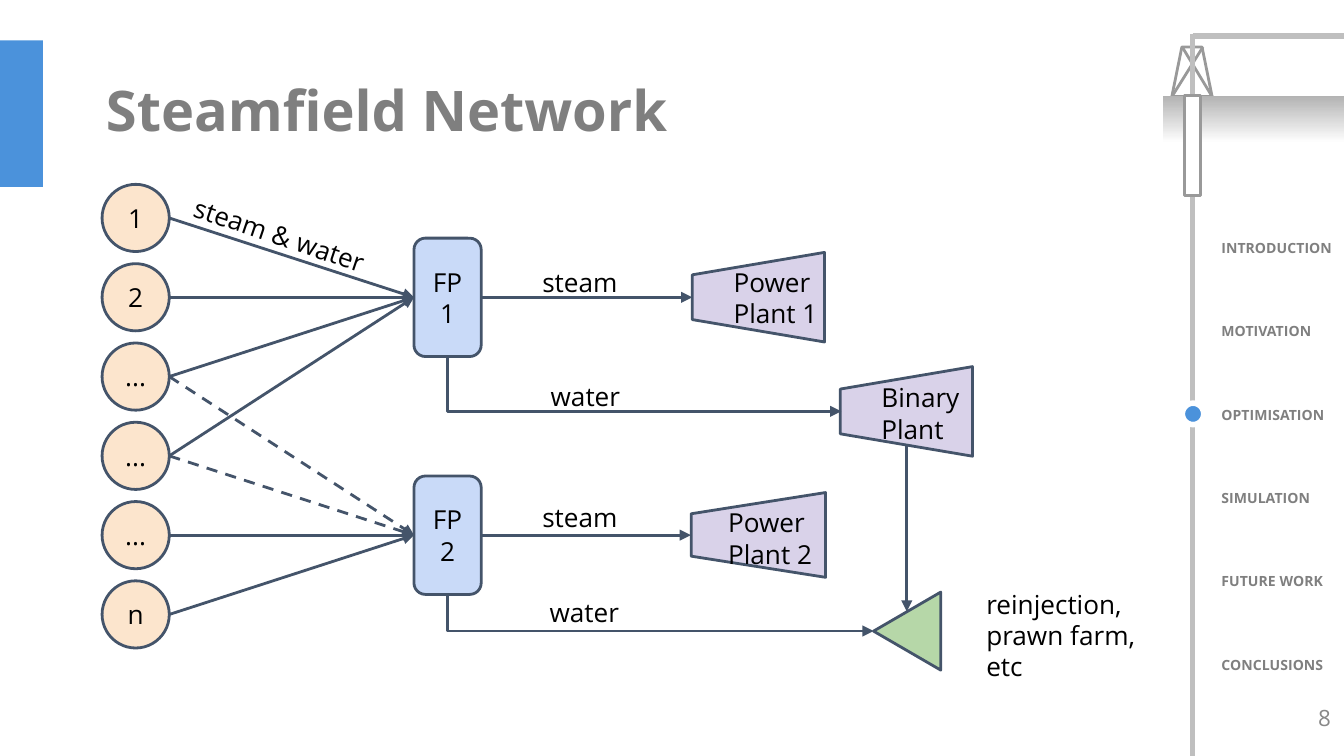
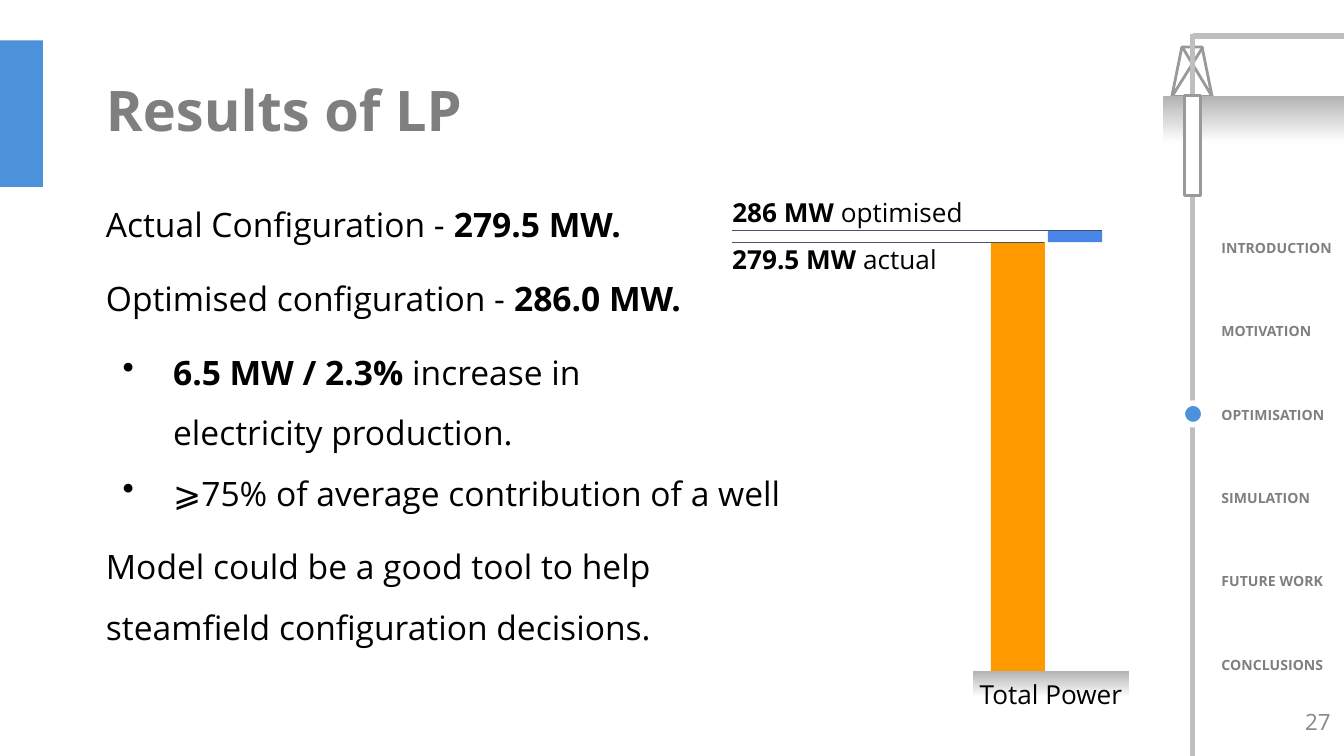
"""Build two slides on a steamfield network and its linear programme results."""
from dataclasses import dataclass
from typing import NamedTuple, Optional

from lxml import etree
from pptx import Presentation
from pptx import util as u
from pptx.dml import color
from pptx.enum import dml, shapes, text
from pptx.oxml import ns
from pptx.slide import Slide

FONT = "Open Sans"
COLORS = {
    "accent": "4B92DB", "title": "7F7F7F", "number": "888888", "text": "000000",
    "rig": "999999", "pipe": "BFBFBF", "ground": "B3B3B3", "white": "FFFFFF",
    "outline": "44546A", "well": "FCE5CD", "separator": "C9DAF8",
    "plant": "D9D2E9", "sink": "B6D7A8", "actual": "FF9900", "gain": "4A86E8",
}
KIND = shapes.MSO_SHAPE
ALIGN = text.PP_ALIGN
ANCHOR = text.MSO_ANCHOR
SECTIONS = ("INTRODUCTION", "MOTIVATION", "OPTIMISATION",
            "SIMULATION", "FUTURE WORK", "CONCLUSIONS")
WELLS = ("1", "2", "...", "...", "...", "n")
WELL_LEFT, WELL_SIZE, WELL_FIRST, WELL_STEP = 54.7, 36, 116.8, 42.48
SEPARATOR_LEFT, SEPARATOR_WIDTH, SEPARATOR_HEIGHT = 221.8, 36, 63.4
SEPARATOR_ROWS = (1, 4)


class Frame(NamedTuple):
    left: float
    top: float
    width: float
    height: float


class Phrase(NamedTuple):
    text: str
    bold: bool = False


class Link(NamedTuple):
    well: int
    separator: int
    dashed: bool = False


@dataclass
class Style:
    size: float = 14
    color: str = "text"
    bold: bool = False
    align: ALIGN = ALIGN.LEFT
    anchor: ANCHOR = ANCHOR.TOP
    inset_x: float = 7.2
    inset_y: float = 7.2


@dataclass
class Block:
    kind: KIND
    frame: Frame
    fill: Optional[str] = None
    line: Optional[str] = None
    weight: float = 1.5
    rotation: float = 0
    adjust: Optional[float] = None


@dataclass
class Label:
    text: str
    frame: Frame
    align: ALIGN = ALIGN.LEFT
    anchor: ANCHOR = ANCHOR.TOP
    rotation: float = 0


@dataclass
class BodyLine:
    phrases: tuple[Phrase, ...]
    before: float = 7.1
    bullet: bool = False


CENTERED = Style(align=ALIGN.CENTER, anchor=ANCHOR.MIDDLE)
WELL_STYLE = Style(align=ALIGN.CENTER, anchor=ANCHOR.MIDDLE, inset_x=0)
TITLE_STYLE = Style(30, "title", True, anchor=ANCHOR.MIDDLE)
SECTION_STYLE = Style(7.5, "title", True, anchor=ANCHOR.MIDDLE, inset_x=20, inset_y=2)
NUMBER_STYLE = Style(12, "number", align=ALIGN.RIGHT, anchor=ANCHOR.MIDDLE, inset_y=3.6)

LINKS = (Link(0, 0), Link(1, 0), Link(2, 0), Link(3, 1, True),
         Link(4, 1), Link(5, 1), Link(2, 1, True), Link(3, 0))
PLANTS = (Frame(382.3, 123.8, 48, 70.8), Frame(383.6, 250.6, 45.4, 72),
          Frame(461.6, 185, 48, 70.8))
FLOW_LABELS = (
    Label("steam & water", Frame(94.3, 111.6, 118.8, 33.8), rotation=18.7),
    Label("Power Plant 1", Frame(385.9, 135.4, 64.8, 21.6)),
    Label("Power Plant 2", Frame(383, 264.2, 64.8, 21.6)),
    Label("Binary Plant", Frame(465.1, 197.3, 64.8, 21.6)),
    Label("steam", Frame(251.3, 135.4, 118.8, 33.8), ALIGN.CENTER),
    Label("steam", Frame(251.3, 261.4, 118.8, 33.8), ALIGN.CENTER),
    Label("water", Frame(254.2, 196.6, 118.8, 33.8), ALIGN.CENTER),
    Label("water", Frame(287.3, 312.5, 118.8, 33.8)),
    Label("reinjection, prawn farm, etc", Frame(521.3, 317.5, 95.8, 45.4),
          anchor=ANCHOR.MIDDLE),
)
BODY = (
    BodyLine((Phrase("Actual Configuration - "), Phrase("279.5 MW.", True)), before=0),
    BodyLine((Phrase("Optimised configuration - "), Phrase("286.0 MW.", True))),
    BodyLine((Phrase("6.5 MW / 2.3% ", True), Phrase("increase in"), Phrase("\v"),
              Phrase("electricity production.")), bullet=True),
    BodyLine((Phrase("⩾75% of average contribution of a well"),), before=0, bullet=True),
    BodyLine((Phrase("Model could be a good tool to help steamfield "
                     "configuration decisions."),)),
)


def rgb(name: str) -> color.RGBColor:
    """Return a named colour."""
    return color.RGBColor.from_string(COLORS[name])


def points(values: tuple) -> list:
    """Turn numbers into point lengths."""
    return [u.Pt(value) for value in values]


def format_run(run, style: Style, bold: bool) -> None:
    """Apply font, size, weight and colour to a run."""
    run.font.name = FONT
    run.font.size = u.Pt(style.size)
    run.font.bold = bold
    run.font.color.rgb = rgb(style.color)


def prepare_frame(shape, style: Style):
    """Set wrapping, anchor and insets and return the text frame."""
    frame = shape.text_frame
    frame.word_wrap = True
    frame.vertical_anchor = style.anchor
    frame.margin_left = frame.margin_right = u.Pt(style.inset_x)
    frame.margin_top = frame.margin_bottom = u.Pt(style.inset_y)
    return frame


def write(shape, content: str, style: Style):
    """Write one uniformly styled paragraph into a shape and return it."""
    frame = prepare_frame(shape, style)
    frame.text = content
    paragraph = frame.paragraphs[0]
    paragraph.alignment = style.align
    for run in paragraph.runs:
        format_run(run, style, style.bold)
    return paragraph


def write_phrases(paragraph, phrases: tuple[Phrase, ...], style: Style) -> None:
    """Write partly bold text, with line breaks, into a paragraph."""
    for phrase in phrases:
        if phrase.text == "\v":
            paragraph.add_line_break()
            continue
        run = paragraph.add_run()
        run.text = phrase.text
        format_run(run, style, phrase.bold)


def add_textbox(slide: Slide, frame: Frame):
    """Add an empty text box."""
    return slide.shapes.add_textbox(*points(frame))


def add_block(slide: Slide, block: Block):
    """Add a preset shape."""
    shape = slide.shapes.add_shape(block.kind, *points(block.frame))
    shape.shadow.inherit = False
    shape.rotation = block.rotation
    if block.adjust is not None:
        shape.adjustments[0] = block.adjust
    if block.fill:
        shape.fill.solid()
        shape.fill.fore_color.rgb = rgb(block.fill)
    else:
        shape.fill.background()
    if block.line:
        shape.line.color.rgb = rgb(block.line)
        shape.line.width = u.Pt(block.weight)
    else:
        shape.line.fill.background()
    return shape


def add_ground(slide: Slide, frame: Frame) -> None:
    """Add a band that fades from grey at the top to white."""
    shape = add_block(slide, Block(KIND.RECTANGLE, frame, rotation=180))
    shape.fill.gradient()
    shape.fill.gradient_angle = 270
    for stop, name in zip(shape.fill.gradient_stops, ("white", "ground")):
        stop.color.rgb = rgb(name)


def add_line(slide: Slide, ends: tuple, name: str = "outline", weight: float = 1.5,
             arrow: bool = False, dashed: bool = False,
             kind=shapes.MSO_CONNECTOR.STRAIGHT):
    """Add a connector given as x1, y1, x2, y2."""
    connector = slide.shapes.add_connector(kind, *points(ends))
    connector.line.color.rgb = rgb(name)
    connector.line.width = u.Pt(weight)
    if dashed:
        connector.line.dash_style = dml.MSO_LINE.DASH
    properties = connector._element.spPr
    if arrow:
        etree.SubElement(properties.find(ns.qn("a:ln")), ns.qn("a:tailEnd"),
                         type="triangle")
    etree.SubElement(properties, ns.qn("a:effectLst"))
    return connector


def add_corner_arrow(slide: Slide, x1: float, y1: float, x2: float, y2: float) -> None:
    """Add an arrow that runs down and then right."""
    middle_x, middle_y = (x1 + x2) / 2, (y1 + y2) / 2
    half_run, half_drop = (x2 - x1) / 2, (y2 - y1) / 2
    ends = (middle_x + half_drop, middle_y - half_run,
            middle_x - half_drop, middle_y + half_run)
    connector = add_line(slide, ends, arrow=True, kind=shapes.MSO_CONNECTOR.ELBOW)
    properties = connector._element.spPr
    properties.find(ns.qn("a:prstGeom")).set("prst", "bentConnector2")
    properties.find(ns.qn("a:xfrm")).set("rot", str(270 * 60000))


def add_base(presentation, title: str, number: str, number_top: float) -> Slide:
    """Add a slide with the title, rig, section list and page number."""
    slide = presentation.slides.add_slide(presentation.slide_layouts[6])
    add_block(slide, Block(KIND.TRAPEZOID, Frame(627.8, 25.2, 21.6, 26.6),
                           line="rig", adjust=0.25))
    add_line(slide, (633.6, 25.6, 649.4, 51.8), "rig")
    add_line(slide, (644.4, 25.2, 627.8, 51.8), "rig")
    add_block(slide, Block(KIND.RECTANGLE, Frame(0, 21.6, 23, 78.5), "accent"))
    add_ground(slide, Frame(622.8, 51.4, 97.2, 25.2))
    add_line(slide, (638.9, 18, 638.9, 405), "pipe", 3)
    add_block(slide, Block(KIND.RECTANGLE, Frame(634.5, 51.4, 8.6, 53.3), "white", "rig"))
    add_line(slide, (638.9, 19.4, 720, 19.4), "pipe", 3)
    for index, section in enumerate(SECTIONS):
        box = add_textbox(slide, Frame(634.3, 123.8 + 44.64 * index, 135.4, 18))
        write(box, section, SECTION_STYLE)
    heading = add_textbox(slide, Frame(49.7, 21.6, 620.6, 78.5))
    write(heading, title, TITLE_STYLE).line_spacing = 0.9
    write(add_textbox(slide, Frame(558, number_top, 162, 21.6)), number, NUMBER_STYLE)
    add_block(slide, Block(KIND.OVAL, Frame(633.4, 216, 11.5, 11.5), "accent", "white", 3))
    return slide


def row_middle(row: int) -> float:
    """Return the vertical middle of a row of wells."""
    return WELL_FIRST + WELL_STEP * row


def build_network(presentation) -> None:
    """Build the slide with the steamfield network."""
    slide = add_base(presentation, "Steamfield Network", "8", 373.7)
    for row, name in enumerate(WELLS):
        frame = Frame(WELL_LEFT, row_middle(row) - WELL_SIZE / 2, WELL_SIZE, WELL_SIZE)
        well = add_block(slide, Block(KIND.OVAL, frame, "well", "outline"))
        write(well, name, WELL_STYLE)
    separators = []
    for index, row in enumerate(SEPARATOR_ROWS, 1):
        frame = Frame(SEPARATOR_LEFT, row_middle(row) - SEPARATOR_HEIGHT / 2,
                      SEPARATOR_WIDTH, SEPARATOR_HEIGHT)
        separator = add_block(slide, Block(KIND.ROUNDED_RECTANGLE, frame, "separator",
                                           "outline", adjust=0.17))
        write(separator, f"FP{index}", CENTERED)
        separators.append(separator)
    for frame in PLANTS:
        add_block(slide, Block(KIND.TRAPEZOID, frame, "plant", "outline",
                               rotation=270, adjust=0.25))
    add_block(slide, Block(KIND.ISOSCELES_TRIANGLE, Frame(465.1, 320.1, 41.8, 36),
                           "sink", "outline", rotation=270))
    for link in LINKS:
        ends = (WELL_LEFT + WELL_SIZE, row_middle(link.well),
                SEPARATOR_LEFT, row_middle(SEPARATOR_ROWS[link.separator]))
        connector = add_line(slide, ends, arrow=True, dashed=link.dashed)
        connector.end_connect(separators[link.separator], 1)
    outlet = SEPARATOR_LEFT + SEPARATOR_WIDTH
    drain = SEPARATOR_LEFT + SEPARATOR_WIDTH / 2
    flows = zip(separators, SEPARATOR_ROWS, (370.8, 370.1), ((450.7, 220.4), (468, 338.1)))
    for separator, row, plant_left, water_end in flows:
        middle = row_middle(row)
        steam = add_line(slide, (outlet, middle, plant_left, middle), arrow=True)
        steam.begin_connect(separator, 3)
        add_corner_arrow(slide, drain, middle + SEPARATOR_HEIGHT / 2, *water_end)
    add_line(slide, (485.8, 238.5, 485.8, 327.6), arrow=True)
    for label in FLOW_LABELS:
        box = add_textbox(slide, label.frame)
        box.rotation = label.rotation
        write(box, label.text, Style(align=label.align, anchor=label.anchor))


def add_body(slide: Slide) -> None:
    """Add the findings with their bullets."""
    style = Style(18)
    frame = prepare_frame(add_textbox(slide, Frame(49.7, 91.4, 393.1, 265.7)), style)
    for index, line in enumerate(BODY):
        paragraph = frame.add_paragraph() if index else frame.paragraphs[0]
        paragraph.line_spacing = 1.5
        paragraph.space_before = u.Pt(line.before)
        if line.bullet:
            properties = paragraph._p.get_or_add_pPr()
            properties.set("marL", str(u.Pt(36)))
            properties.set("indent", str(u.Pt(-27)))
            tint = etree.SubElement(properties, ns.qn("a:buClr"))
            etree.SubElement(tint, ns.qn("a:srgbClr"), val=COLORS["text"])
            etree.SubElement(properties, ns.qn("a:buChar"), char="•")
        write_phrases(paragraph, line.phrases, style)


def build_results(presentation) -> None:
    """Build the slide with the results and the power bars."""
    slide = add_base(presentation, "Results of LP", "27", 375.8)
    add_ground(slide, Frame(521.3, 359.3, 83.5, 14.4))
    add_body(slide)
    add_block(slide, Block(KIND.RECTANGLE, Frame(530.8, 129.8, 29, 229.6), "actual"))
    add_block(slide, Block(KIND.RECTANGLE, Frame(561.4, 123.4, 29, 6.4), "gain"))
    captions = (
        (Frame(385.2, 123.1, 182.9, 37.4), "279.5 MW ", "actual", 559.4, 129.8),
        (Frame(385.2, 97.9, 203, 37.4), "286 MW ", "optimised", 590.4, 123.4),
    )
    for frame, amount, name, right, level in captions:
        paragraph = prepare_frame(add_textbox(slide, frame), Style()).paragraphs[0]
        write_phrases(paragraph, (Phrase(amount, True), Phrase(name)), Style())
        add_line(slide, (right, level, 392.4, level), weight=0.75)
    total = add_textbox(slide, Frame(461.5, 356.4, 203, 37.4))
    write(total, "Total Power", Style(align=ALIGN.CENTER))


def main() -> None:
    """Build and save the presentation."""
    presentation = Presentation()
    presentation.slide_width, presentation.slide_height = u.Pt(720), u.Pt(405)
    build_network(presentation)
    build_results(presentation)
    presentation.save("out.pptx")


if __name__ == "__main__":
    main()
